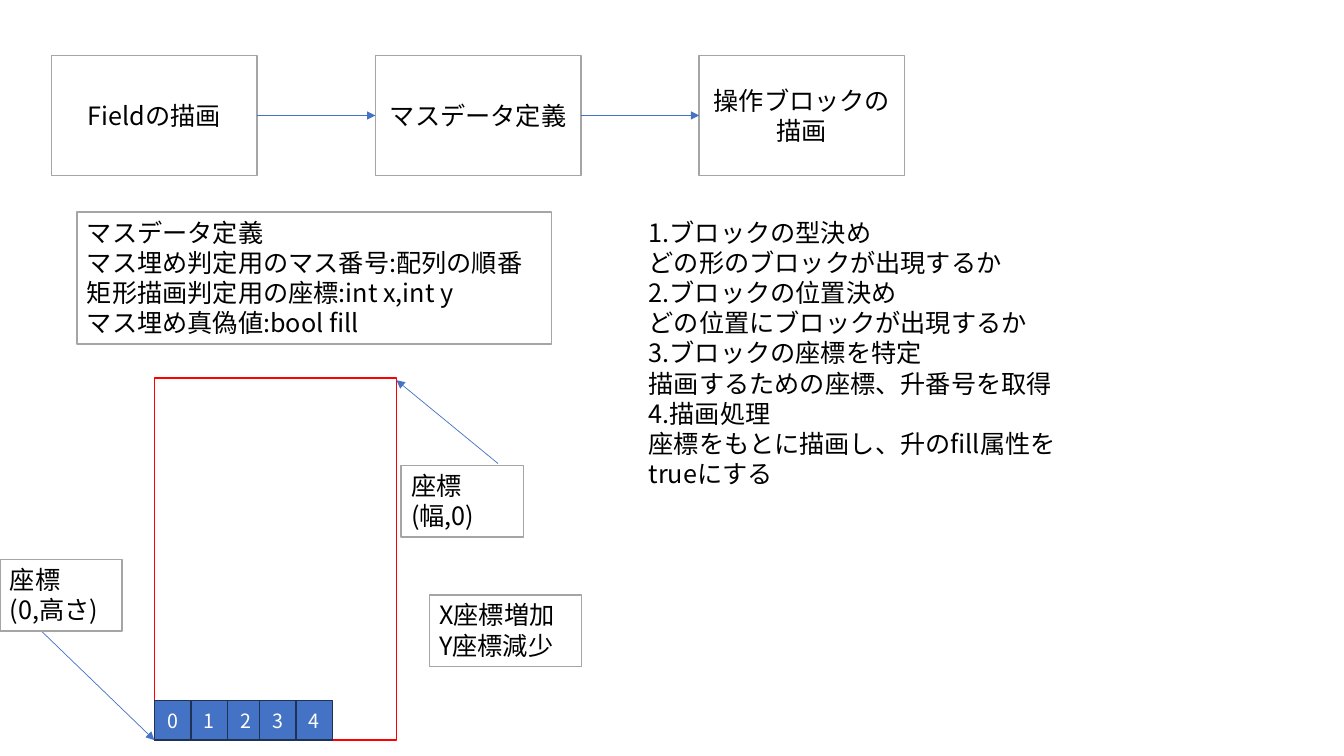
from dataclasses import dataclass

from lxml import etree
from pptx import Presentation
from pptx.dml.color import RGBColor
from pptx.enum import shapes, text
from pptx.oxml import ns
from pptx.util import Cm, Pt


@dataclass(frozen=True)
class Theme:
    font: str = "Noto Sans CJK JP"
    body: int = 18
    small: int = 14
    ink: str = "000000"
    paper: str = "FFFFFF"
    border: str = "A5A5A5"
    accent: str = "4472C4"
    cell_border: str = "1E3256"
    frame: str = "FF0000"
    outline: float = 1
    arrow: float = 0.5


THEME = Theme()

STAGES = ["Fieldの描画", "マスデータ定義", "操作ブロックの\n描画"]
STAGE_LEFT, STAGE_TOP, STAGE_PITCH = 1.3, 1.4, 8.16
STAGE_WIDTH, STAGE_HEIGHT = 5.18, 3.02

NOTES = [
    (["マスデータ定義", "マス埋め判定用のマス番号:配列の順番",
      "矩形描画判定用の座標:int x,int y", "マス埋め真偽値:bool fill"],
     (1.94, 5.34, 11.96, 3.33)),
    (["座標", "(0,高さ)"], (0, 14.1, 3.08, 1.8)),
    (["座標", "(幅,0)"], (10.11, 11.73, 3.08, 1.8)),
    (["X座標増加", "Y座標減少"], (10.82, 14.99, 3.84, 1.8)),
]

STEPS = [
    "1.ブロックの型決め", "どの形のブロックが出現するか",
    "2.ブロックの位置決め", "どの位置にブロックが出現するか",
    "3.ブロックの座標を特定", "描画するための座標、升番号を取得",
    "4.描画処理", "座標をもとに描画し、升のfill属性をtrueにする",
]
STEPS_BOX = (16.1, 5.34, 10.82, 8.71)

FIELD_LEFT, FIELD_TOP, FIELD_WIDTH, FIELD_HEIGHT = 3.89, 9.53, 6.1, 9.12
FIELD_BOTTOM = FIELD_TOP + FIELD_HEIGHT
CELL_WIDTH, CELL_HEIGHT = 0.92, 1
CELL_OFFSETS = [0, 0.92, 1.84, 2.65, 3.57]

CORNER_ARROWS = [
    ((1.02, 15.88), (FIELD_LEFT, FIELD_BOTTOM)),
    ((12.55, 11.68), (FIELD_LEFT + FIELD_WIDTH, FIELD_TOP + 0.05)),
]


def rgb(colour):
    return RGBColor.from_string(colour)


def write(shape, wording, size, colour, align, anchor):
    frame = shape.text_frame
    frame.word_wrap = True
    frame.vertical_anchor = anchor
    frame.text = wording
    for paragraph in frame.paragraphs:
        paragraph.alignment = align
        for run in paragraph.runs:
            run.font.name = THEME.font
            run.font.size = Pt(size)
            run.font.color.rgb = rgb(colour)
            east_asian = etree.SubElement(run.font._element, ns.qn("a:ea"))
            east_asian.set("typeface", THEME.font)


def write_centred(shape, wording, size, colour):
    write(shape, wording, size, colour, text.PP_ALIGN.CENTER, text.MSO_ANCHOR.MIDDLE)


def write_lines(shape, lines):
    write(shape, "\n".join(lines), THEME.body, THEME.ink,
          text.PP_ALIGN.LEFT, text.MSO_ANCHOR.TOP)
    shape.text_frame.auto_size = text.MSO_AUTO_SIZE.SHAPE_TO_FIT_TEXT


def add_box(slide, box, fill, line):
    shape = slide.shapes.add_shape(shapes.MSO_SHAPE.RECTANGLE, *map(Cm, box))
    shape.shadow.inherit = False
    if fill:
        shape.fill.solid()
        shape.fill.fore_color.rgb = rgb(fill)
    else:
        shape.fill.background()
    shape.line.color.rgb = rgb(line)
    shape.line.width = Pt(THEME.outline)
    return shape


def add_arrow(slide, start, end):
    arrow = slide.shapes.add_connector(
        shapes.MSO_CONNECTOR.STRAIGHT, *map(Cm, start + end))
    arrow.line.color.rgb = rgb(THEME.accent)
    arrow.line.width = Pt(THEME.arrow)
    head = etree.SubElement(arrow.line._get_or_add_ln(), ns.qn("a:tailEnd"))
    head.set("type", "triangle")
    etree.SubElement(arrow._element.spPr, ns.qn("a:effectLst"))
    return arrow


def add_stages(slide):
    previous = None
    middle = STAGE_TOP + STAGE_HEIGHT / 2
    for index, wording in enumerate(STAGES):
        left = STAGE_LEFT + index * STAGE_PITCH
        stage = add_box(slide, (left, STAGE_TOP, STAGE_WIDTH, STAGE_HEIGHT),
                        THEME.paper, THEME.border)
        write_centred(stage, wording, THEME.body, THEME.ink)
        if previous is not None:
            gap_start = left - STAGE_PITCH + STAGE_WIDTH
            flow = add_arrow(slide, (gap_start, middle), (left, middle))
            flow.begin_connect(previous, 3)
            flow.end_connect(stage, 1)
        previous = stage


def add_field(slide):
    add_box(slide, (FIELD_LEFT, FIELD_TOP, FIELD_WIDTH, FIELD_HEIGHT),
            None, THEME.frame)
    for number, offset in enumerate(CELL_OFFSETS):
        box = (FIELD_LEFT + offset, FIELD_BOTTOM - CELL_HEIGHT, CELL_WIDTH, CELL_HEIGHT)
        cell = add_box(slide, box, THEME.accent, THEME.cell_border)
        write_centred(cell, str(number), THEME.small, THEME.paper)
    for start, end in CORNER_ARROWS:
        add_arrow(slide, start, end)


def main():
    deck = Presentation()
    deck.slide_width, deck.slide_height = Cm(33.87), Cm(19.05)
    slide = deck.slides.add_slide(deck.slide_layouts[6])
    add_stages(slide)
    add_field(slide)
    for lines, box in NOTES:
        write_lines(add_box(slide, box, THEME.paper, THEME.border), lines)
    write_lines(slide.shapes.add_textbox(*map(Cm, STEPS_BOX)), STEPS)
    deck.save("out.pptx")


if __name__ == "__main__":
    main()
